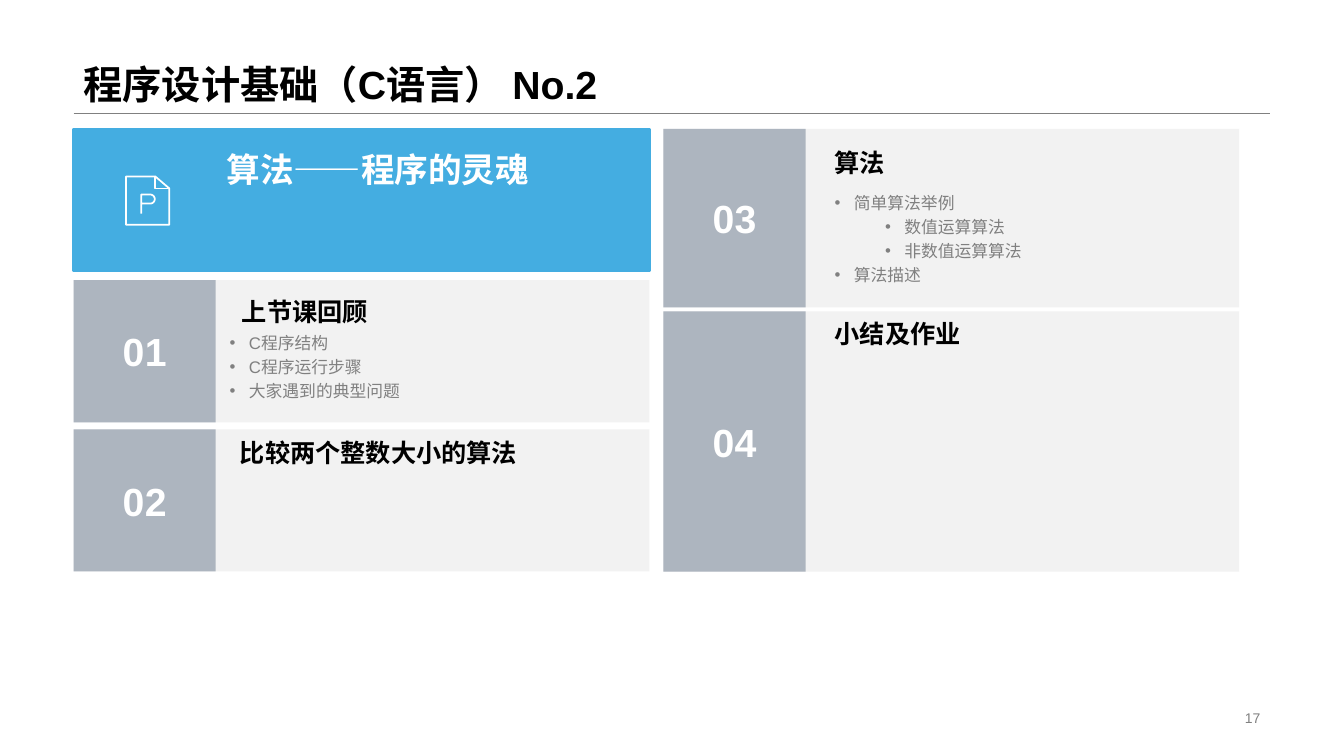
"""Build the lecture agenda slide with a title, a banner and four numbered cards."""
from math import cos, pi, sin

from lxml.etree import SubElement
from pptx import Presentation
from pptx.dml.color import RGBColor
from pptx.enum.lang import MSO_LANGUAGE_ID as Lang
from pptx.enum.shapes import MSO_CONNECTOR as Connector, MSO_SHAPE as Shape
from pptx.enum.text import MSO_ANCHOR as Anchor, MSO_AUTO_SIZE as Fit, PP_ALIGN as Align
from pptx.oxml.ns import qn
from pptx.util import Inches, Pt

TITLE = "程序设计基础（C语言） No.2"
BANNER = "算法——程序的灵魂"
PAGE_NUMBER = "17"
CARDS = [
    {"number": "1", "left": 0.73, "top": 2.78, "height": 1.41,
     "heading": "上节课回顾", "heading_at": (2.3, 2.89),
     "points_at": (2.18, 3.21, 4.22, 0.81),
     "points": [("C程序结构", 0), ("C程序运行步骤", 0), ("大家遇到的典型问题", 0)]},
    {"number": "2", "left": 0.73, "top": 4.26, "height": 1.41,
     "heading": "比较两个整数大小的算法", "heading_at": (2.28, 4.29)},
    {"number": "4", "left": 6.58, "top": 3.09, "height": 2.58,
     "heading": "小结及作业", "heading_at": (8.18, 3.11)},
    {"number": "3", "left": 6.58, "top": 1.28, "height": 1.77,
     "heading": "算法", "heading_at": (8.18, 1.41),
     "points_at": (8.18, 1.82, 4.12, 1.12),
     "points": [("简单算法举例", 0), ("数值运算算法", 1), ("非数值运算算法", 1), ("算法描述", 0)]},
]
CARD_WIDTH, NUMBER_WIDTH = 5.71, 1.41
HEADING_SIZE = (3.91, 0.4)
BOWL = [(1.49 + 0.045 * sin(pi * i / 12), 1.975 - 0.045 * cos(pi * i / 12)) for i in range(13)]
ICON = [
    ([(1.25, 1.75), (1.54, 1.75), (1.68, 1.87), (1.68, 2.23), (1.25, 2.23)], True),
    ([(1.54, 1.75), (1.54, 1.87), (1.68, 1.87)], False),
    ([(1.4, 2.12), (1.4, 1.93), *BOWL, (1.4, 2.02)], False),
]


class Theme:
    """Colours and text formats of the slide."""
    black, white, gray = (RGBColor.from_string(c) for c in ("000000", "FFFFFF", "808080"))
    panel, slate, blue = (RGBColor.from_string(c) for c in ("F2F2F2", "ADB5BF", "44ADE1"))
    title = {"size": Pt(28), "bold": True}, black
    number = {"size": Pt(28), "bold": True}, white
    spacer = {"size": Pt(1), "bold": True}, white
    banner = {"size": Pt(24), "bold": True}, white
    heading = {"size": Pt(18), "bold": True}, black
    point = {"size": Pt(12), "bold": False}, gray
    page = {"size": Pt(10), "bold": False}, gray


def set_font(font, style):
    values, color = style
    for key, value in {"name": "Arial", "language_id": Lang.SIMPLIFIED_CHINESE, **values}.items():
        setattr(font, key, value)
    font.color.rgb = color


def set_frame(frame, anchor=Anchor.TOP, fit=Fit.NONE):
    for key, value in {"word_wrap": True, "vertical_anchor": anchor, "auto_size": fit}.items():
        setattr(frame, key, value)


def write(paragraph, text, style, **layout):
    for key, value in layout.items():
        setattr(paragraph, key, value)
    run = paragraph.add_run()
    run.text = text
    set_font(run.font, style)


def add_text(shapes, box, text, style, anchor=Anchor.TOP, fit=Fit.NONE, **layout):
    frame = shapes.add_textbox(*map(Inches, box)).text_frame
    set_frame(frame, anchor, fit)
    write(frame.paragraphs[0], text, style, **layout)


def add_panel(shapes, box, color):
    panel = shapes.add_shape(Shape.RECTANGLE, *map(Inches, box))
    panel.shadow.inherit = False
    panel.fill.solid()
    panel.fill.fore_color.rgb = color
    panel.line.fill.background()
    return panel


def add_points(shapes, box, points):
    frame = shapes.add_textbox(*map(Inches, box)).text_frame
    set_frame(frame)
    for i, (text, level) in enumerate(points):
        paragraph = frame.add_paragraph() if i else frame.paragraphs[0]
        properties = paragraph._p.get_or_add_pPr()
        properties.set("marL", str(Inches(0.19 + 0.5 * level)))
        properties.set("indent", str(Inches(-0.19)))
        SubElement(properties, qn("a:buFont")).set("typeface", "Arial")
        SubElement(properties, qn("a:buChar")).set("char", "•")
        write(paragraph, text, Theme.point, level=level, line_spacing=1.2)


def add_card(slide, card):
    shapes = slide.shapes.add_group_shape().shapes
    left, top, height = card["left"], card["top"], card["height"]
    add_panel(shapes, (left, top, CARD_WIDTH, height), Theme.panel)
    number = add_panel(shapes, (left, top, NUMBER_WIDTH, height), Theme.slate).text_frame
    set_frame(number, Anchor.MIDDLE)
    for text, style in (("0", Theme.number), (" ", Theme.spacer), (card["number"], Theme.number)):
        write(number.paragraphs[0], text, style, alignment=Align.CENTER)
    add_text(shapes, (*card["heading_at"], *HEADING_SIZE), card["heading"], Theme.heading,
             fit=Fit.SHAPE_TO_FIT_TEXT)
    if "points" in card:
        add_points(shapes, card["points_at"], card["points"])


def add_banner(slide):
    shapes = slide.shapes.add_group_shape().shapes
    panel = add_panel(shapes, (0.73, 1.28, CARD_WIDTH, 1.41), Theme.blue)
    panel.line.color.rgb = Theme.blue
    panel.line.width = Pt(2)
    add_text(shapes, (2.15, 1.39, 4.06, 0.54), BANNER, Theme.banner, Anchor.BOTTOM,
             Fit.SHAPE_TO_FIT_TEXT, line_spacing=1.2)
    for points, closed in ICON:
        start, *rest = [(Inches(x), Inches(y)) for x, y in points]
        builder = shapes.build_freeform(*start)
        builder.add_line_segments(rest, close=closed)
        stroke = builder.convert_to_shape()
        stroke.shadow.inherit = False
        stroke.fill.background()
        stroke.line.color.rgb = Theme.white
        stroke.line.width = Pt(1.25)


def add_title(slide):
    rule = slide.shapes.add_connector(Connector.STRAIGHT, *map(Inches, (0.73, 1.12, 12.6, 1.12)))
    rule.line.color.rgb = Theme.gray
    rule.line.width = Pt(0.25)
    SubElement(rule._element.spPr, qn("a:effectLst"))
    title = slide.shapes.title
    for key, value in zip(("left", "top", "width", "height"), (0.73, 0, 11.87, 1.12)):
        setattr(title, key, Inches(value))
    set_frame(title.text_frame, Anchor.BOTTOM)
    write(title.text_frame.paragraphs[0], TITLE, Theme.title, alignment=Align.LEFT, line_spacing=0.9)


def main():
    deck = Presentation()
    deck.slide_width, deck.slide_height = Inches(13.33), Inches(7.5)
    slide = deck.slides.add_slide(deck.slide_layouts[5])
    add_title(slide)
    add_text(slide.shapes, (9.42, 7.01, 3.18, 0.23), PAGE_NUMBER, Theme.page, Anchor.MIDDLE,
             alignment=Align.RIGHT)
    for card in CARDS:
        add_card(slide, card)
    add_banner(slide)
    deck.save("out.pptx")


if __name__ == "__main__":
    main()
